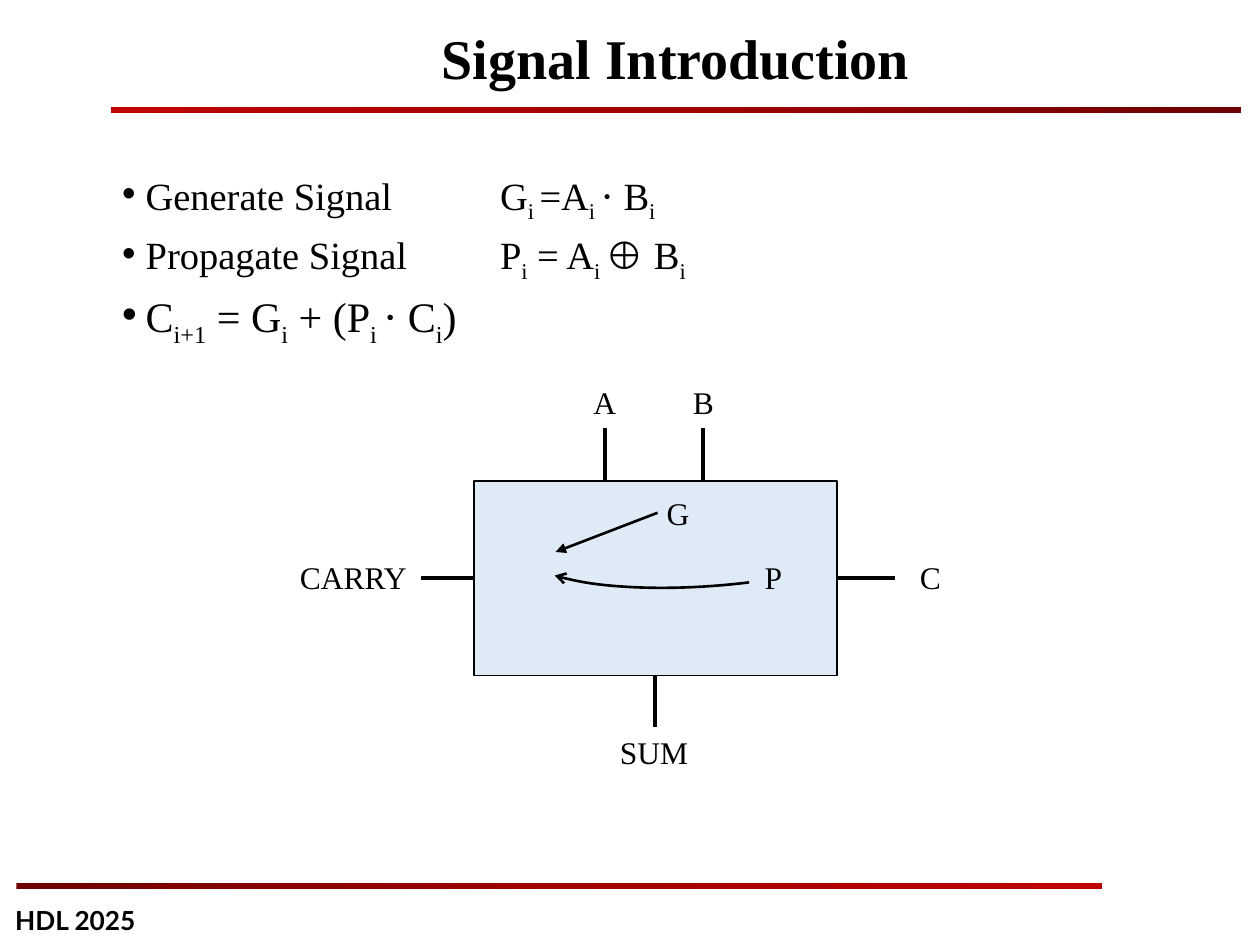
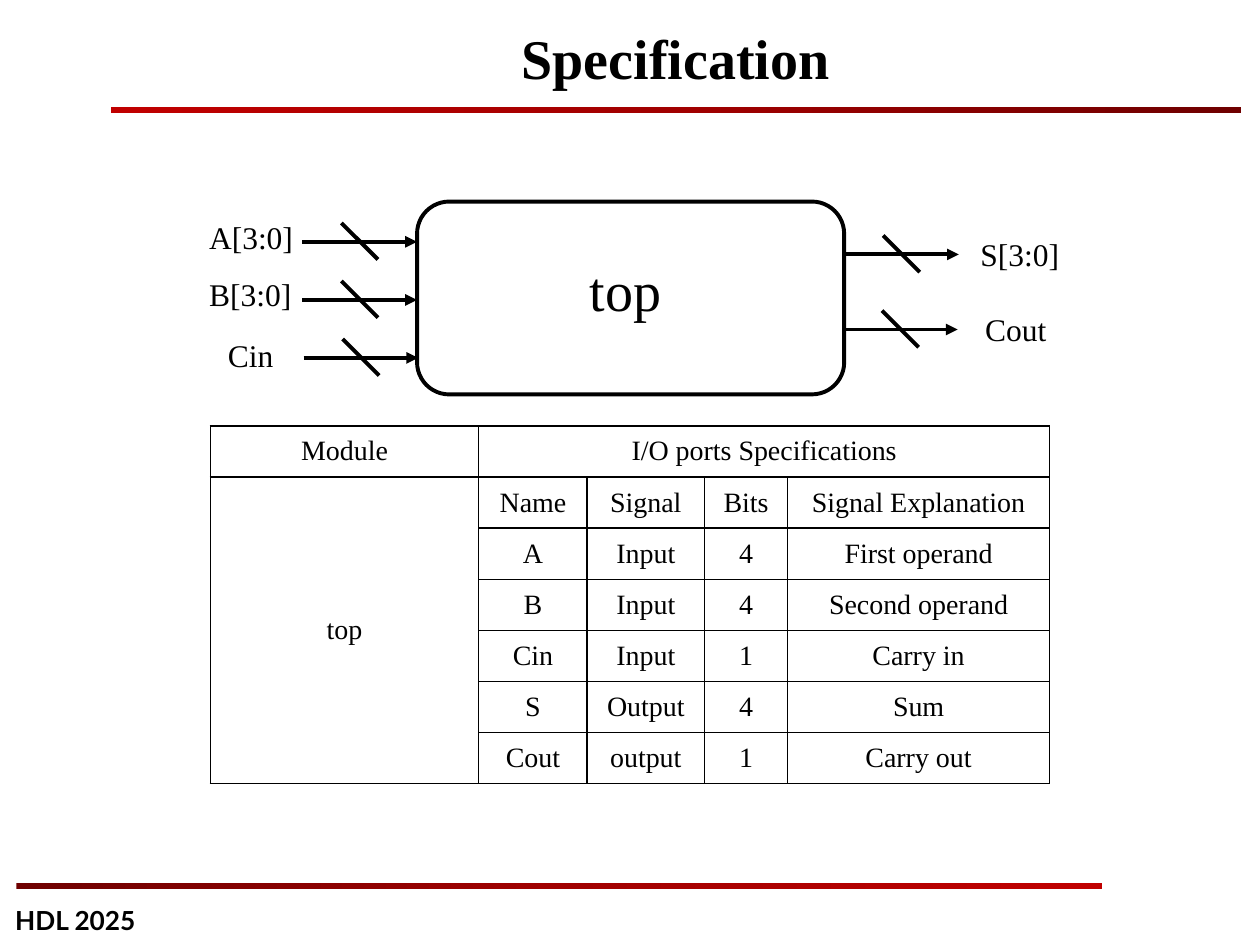
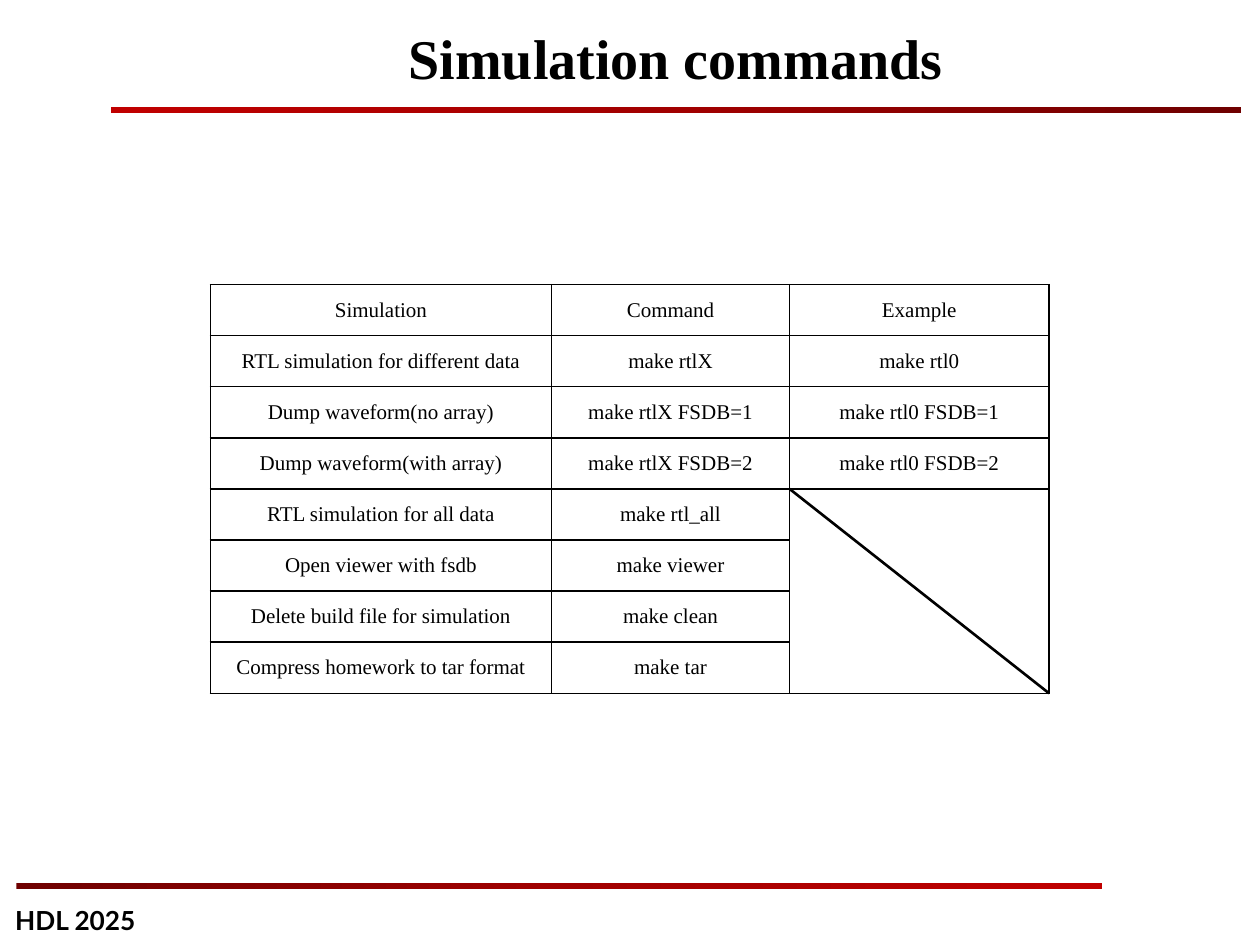
import pptx
import pptx.util
import pptx.dml.color
import pptx.enum.shapes
import pptx.enum.text
import pptx.oxml.ns
import copy
from lxml import etree

Pt = pptx.util.Pt
RGB = pptx.dml.color.RGBColor.from_string
Shape = pptx.enum.shapes.MSO_SHAPE
Align = pptx.enum.text.PP_ALIGN
Anchor = pptx.enum.text.MSO_ANCHOR
qn = pptx.oxml.ns.qn

INK = {"black": "000000", "white": "FFFFFF", "pale": "DEEBF7",
       "dark": "6F0000", "mid": "A10000", "red": "C00000"}
SERIF, SANS = "Times New Roman", "Lato"
FOOT = "HDL 2025"
FADE = ["dark", "mid", "red"]
BANDS = [(63.4, 61.2, 645.8, 3.6, FADE[::-1]), (9.4, 504.7, 620.6, 3.6, FADE)]
LABEL = 18

RULES = [
    (22, ["Generate Signal\t\tG", "i ", "=A", "i ", "⋅ B", "i"]),
    (22, ["Propagate Signal \tP", "i", " = A", "i ", "⊕ B", "i"]),
    (24, ["C", "i+1", " = G", "i", " + (P", "i ", "⋅ C", "i", ")"]),
]
TABS = (162, 216)
ADDER = (270.7, 275, 207.4, 111)
PINS = [(345.6, 244.8, 345.6, 275, None), (401.8, 244.8, 401.8, 275, None),
        (240.5, 330.5, 270.7, 330.5, 1), (511.2, 330.5, 478.1, 330.5, 3),
        (374.4, 415.4, 374.4, 386, 2)]
NAMES = [("A", 335.5, 215.3, 20.2), ("B", 392.4, 215.3, 19.4),
         ("C", 522, 315.4, 19.4), ("CARRY", 167.8, 315.4, 69.8),
         ("SUM", 350.6, 415.4, 46.8), ("G", 377.3, 278.6, 20.2),
         ("P", 433.4, 315.4, 17.3)]

TOP = (238.3, 115.2, 244.1, 110.2)
WIRES = [(172.8, 138.2), (172.8, 171.4), (173.5, 204.5), (482.4, 145.4), (481.7, 188.3)]
REACH, SLASH = 65.5, 20.9
PORTS = [("A[3:0]", 115.9, 121, 55.4), ("B[3:0]", 115.9, 153.4, 54.7),
         ("S[3:0]", 556.6, 131, 52.6), ("Cin", 126.7, 188.6, 33.8),
         ("Cout", 559.4, 173.5, 42.5)]
SPEC = [
    ["Module", "I/O ports Specifications", "", "", ""],
    ["top", "Name", "Signal", "Bits", "Signal Explanation"],
    ["", "A", "Input", "4", "First operand"],
    ["", "B", "Input", "4", "Second operand"],
    ["", "Cin", "Input", "1", "Carry in"],
    ["", "S", "Output", "4", "Sum"],
    ["", "Cout", "output", "1", "Carry out"],
]
CALLS = [
    ["Simulation", "Command", "Example"],
    ["RTL simulation for different data", "make rtlX", "make rtl0"],
    ["Dump waveform(no array)", "make rtlX FSDB=1", "make rtl0 FSDB=1"],
    ["Dump waveform(with array)", "make rtlX FSDB=2", "make rtl0 FSDB=2"],
    ["RTL simulation for all data", "make rtl_all", ""],
    ["Open viewer with fsdb", "make viewer", ""],
    ["Delete build file for simulation", "make clean", ""],
    ["Compress homework to tar format", "make tar", ""],
]
LEFT, ROW = 120.2, 29.2
CALL_TOP, CALL_COLS = 162.6, (195, 136, 148.3)


def place(*nums):
    return [Pt(num) for num in nums]


def style(para, size, face=SERIF, bold=False):
    font = para.font
    font.size, font.name, font.bold = Pt(size), face, bold
    font.color.rgb = RGB(INK["black"])


def frame(slide, box, pad=3.6, wrap=True):
    text = slide.shapes.add_textbox(*place(*box)).text_frame
    text.word_wrap = wrap
    text.margin_left = text.margin_right = Pt(pad)
    text.margin_top = text.margin_bottom = Pt(pad)
    return text


def label(slide, words, box, size=LABEL, face=SERIF, bold=False, pad=3.6, wrap=False):
    text = frame(slide, box, pad, wrap)
    para = text.paragraphs[0]
    para.text = words
    style(para, size, face, bold)
    return text


def labels(slide, items):
    for words, x, y, wide in items:
        label(slide, words, (x, y, wide, 29))


def stroke(item, width, tip=None):
    item.line.color.rgb = RGB(INK["black"])
    item.line.width = Pt(width)
    if tip:
        etree.SubElement(item.line._get_or_add_ln(), qn("a:tailEnd"), type=tip)


def block(slide, kind, box, fill, width):
    item = slide.shapes.add_shape(kind, *place(*box))
    item.shadow.inherit = False
    if fill:
        item.fill.solid()
        item.fill.fore_color.rgb = RGB(INK[fill])
    else:
        item.fill.background()
    stroke(item, width)
    return item


def wire(slide, ends, width=2.25, tip=None):
    link = slide.shapes.add_connector(pptx.enum.shapes.MSO_CONNECTOR.STRAIGHT, *place(*ends))
    stroke(link, width, tip)
    etree.SubElement(link._element.spPr, qn("a:effectLst"))
    return link


def band(slide, x, y, wide, high, tones):
    item = slide.shapes.add_shape(Shape.RECTANGLE, *place(x, y, wide, high))
    item.shadow.inherit = False
    item.line.fill.background()
    item.fill.gradient()
    item.fill.gradient_angle = 0
    stops = item._element.spPr.find(".//" + qn("a:gsLst"))
    stops.insert(1, copy.deepcopy(stops[0]))
    for rank, (stop, tone) in enumerate(zip(item.fill.gradient_stops, tones)):
        stop.position = rank / 2
        stop.color.rgb = RGB(INK[tone])


def page(deck, title):
    slide = deck.slides.add_slide(deck.slide_layouts[6])
    for spot in BANDS:
        band(slide, *spot)
    label(slide, FOOT, (5.8, 514, 108, 23.8), 15, SANS, True, 2.9, True)
    head = label(slide, title, (66.2, 14.4, 640, 41.8), 32, bold=True, wrap=True)
    head.vertical_anchor = Anchor.MIDDLE
    head.paragraphs[0].alignment = Align.CENTER
    head.paragraphs[0].line_spacing = 0.9
    return slide


def bullets(slide):
    text = frame(slide, (66.2, 95, 623.5, 367.2))
    for rank, (size, parts) in enumerate(RULES):
        para = text.add_paragraph() if rank else text.paragraphs[0]
        para.line_spacing, para.space_before = 0.9, Pt(7)
        props = para._p.get_or_add_pPr()
        props.set("marL", str(Pt(13.5)))
        props.set("indent", str(-Pt(13.5)))
        etree.SubElement(props, qn("a:buFont"), typeface="Arial")
        etree.SubElement(props, qn("a:buChar"), char="•")
        tabs = etree.SubElement(props, qn("a:tabLst"))
        for tab in TABS:
            etree.SubElement(tabs, qn("a:tab"), pos=str(Pt(tab)), algn="l")
        style(para, size)
        for turn, part in enumerate(parts):
            run = para.add_run()
            run.text = part
            if turn % 2:
                run.font._element.set("baseline", "-25000")


def edge(cell):
    props = cell._tc.get_or_add_tcPr()
    for side in "LRTB":
        line = etree.SubElement(props, qn("a:ln" + side), w=str(Pt(1)))
        fill = etree.SubElement(line, qn("a:solidFill"))
        etree.SubElement(fill, qn("a:srgbClr"), val=INK["black"])


def grid(slide, rows, cols, y, size, spans):
    box = place(LEFT, y, sum(cols), ROW * len(rows))
    table = slide.shapes.add_table(len(rows), len(cols), *box).table
    table.first_row = table.horz_banding = False
    for col, wide in zip(table.columns, cols):
        col.width = Pt(wide)
    for line, words in zip(table.rows, rows):
        line.height = Pt(ROW)
        for cell, word in zip(line.cells, words):
            edge(cell)
            cell.fill.background()
            cell.vertical_anchor = Anchor.MIDDLE
            para = cell.text_frame.paragraphs[0]
            para.text = word
            para.alignment = Align.CENTER
            style(para, size)
    for start, end in spans:
        table.cell(*start).merge(table.cell(*end))


def signals(deck):
    slide = page(deck, "Signal Introduction")
    bullets(slide)
    adder = block(slide, Shape.RECTANGLE, ADDER, "pale", 1)
    wire(slide, (375.8, 293, 317.5, 315.4), 1.5, "triangle")
    curve = block(slide, Shape.ARC, (288.7, 252.7, 265, 80.6), None, 1.5)
    curve.rotation = 173.3
    curve.adjustments[0], curve.adjustments[1] = 160.11, 208.63
    stroke(curve, 1.5, "arrow")
    for *ends, side in PINS:
        pin = wire(slide, ends)
        if side is not None:
            pin.end_connect(adder, side)
    labels(slide, NAMES)


def ports(deck):
    slide = page(deck, "Specification")
    grid(slide, SPEC, (153.4, 62, 67, 47.5, 149.8), 243.4, 16,
         [((0, 1), (0, 4)), ((1, 0), (6, 0))])
    block(slide, Shape.ROUNDED_RECTANGLE, TOP, "white", 2.25)
    label(slide, "top", (333.4, 142.6, 53.3, 46), 32, wrap=True)
    for x, y in WIRES:
        wire(slide, (x, y, x + REACH, y), tip="triangle")
        left, high = x + 22.3, y - 10.8
        wire(slide, (left, high, left + SLASH, high + SLASH))
    labels(slide, PORTS)


def calls(deck):
    slide = page(deck, "Simulation commands")
    grid(slide, CALLS, CALL_COLS, CALL_TOP, 12, [((4, 2), (7, 2))])
    right, low = LEFT + sum(CALL_COLS), CALL_TOP + ROW * len(CALLS)
    wire(slide, (right - CALL_COLS[-1], low - 4 * ROW, right, low), 1.5)


def main():
    deck = pptx.Presentation()
    deck.slide_width, deck.slide_height = Pt(720), Pt(540)
    for build in (signals, ports, calls):
        build(deck)
    deck.save("out.pptx")


if __name__ == "__main__":
    main()
